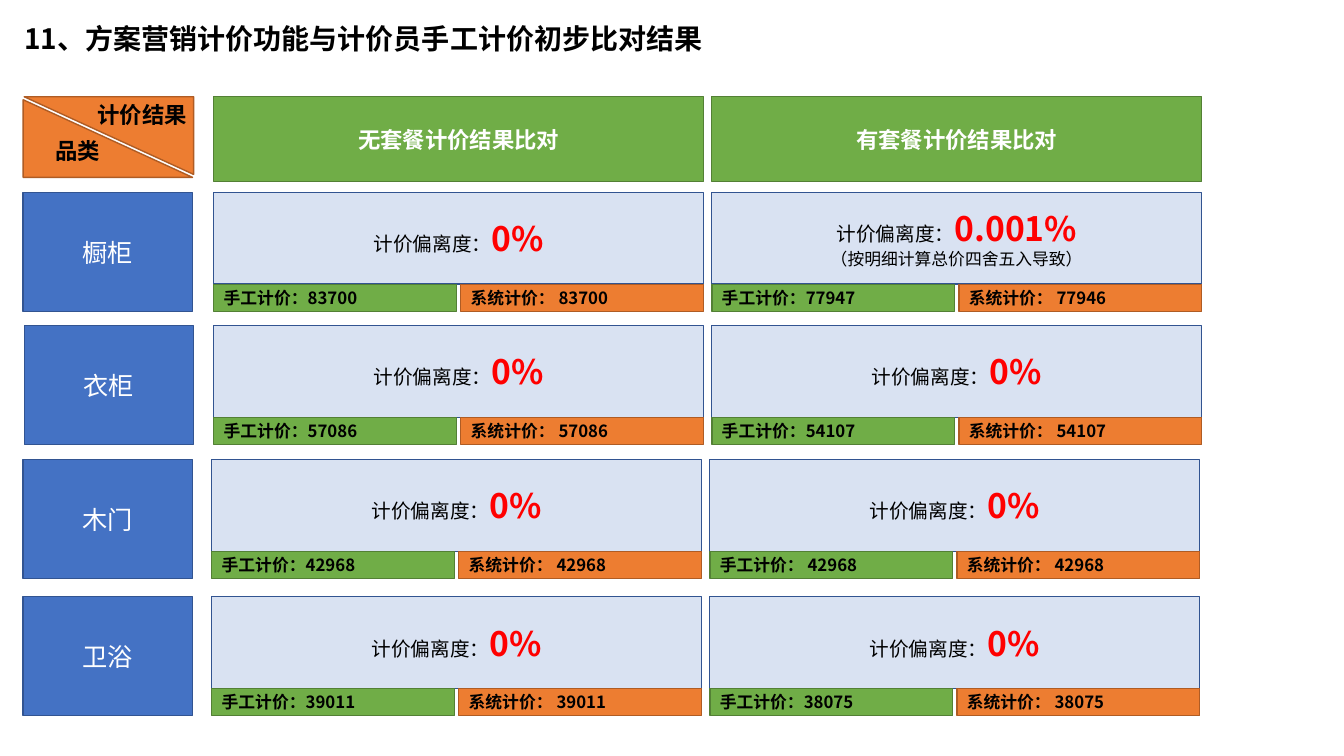
from lxml import etree
from pptx import Presentation
from pptx.dml.color import RGBColor
from pptx.enum.shapes import MSO_SHAPE
from pptx.enum.text import MSO_ANCHOR, MSO_AUTO_SIZE, PP_ALIGN
from pptx.oxml.ns import qn
from pptx.util import Pt

PX = 9144
FONT = "Noto Sans CJK SC"
BLUE, GREEN, ORANGE, PALE = "4472C4", "70AD47", "ED7D31", "B4C7E7"
BORDERS = {BLUE: "325491", GREEN: "538035", ORANGE: "AF5C24", PALE: "325491"}


def add_run(p, text, size, color="000000", bold=False, align=PP_ALIGN.CENTER):
    p.alignment = align
    r = p.add_run()
    r.text = text
    r.font.size = Pt(size)
    r.font.bold = bold
    r.font.name = FONT
    r.font.color.rgb = RGBColor.from_string(color)
    ea = etree.SubElement(r.font._element, qn("a:ea"))
    ea.set("typeface", FONT)


def add_box(shapes, x, y, w, h, fill, kind=MSO_SHAPE.RECTANGLE):
    sp = shapes.add_shape(kind, x * PX, y * PX, w * PX, h * PX)
    sp.shadow.inherit = False
    sp.fill.solid()
    sp.fill.fore_color.rgb = RGBColor.from_string(fill)
    sp.line.color.rgb = RGBColor.from_string(BORDERS[fill])
    sp.line.width = Pt(1)
    sp.text_frame.word_wrap = True
    sp.text_frame.vertical_anchor = MSO_ANCHOR.MIDDLE
    return sp


prs = Presentation()
prs.slide_width = 1333 * PX
prs.slide_height = 750 * PX
s = prs.slides.add_slide(prs.slide_layouts[5])

title = s.shapes.title
title.left, title.top, title.width, title.height = 14 * PX, 16 * PX, 1291 * PX, 44 * PX
tf = title.text_frame
tf.word_wrap = True
tf.auto_size = MSO_AUTO_SIZE.SHAPE_TO_FIT_TEXT
tf.vertical_anchor = MSO_ANCHOR.TOP
add_run(tf.paragraphs[0], "11、方案营销计价功能与计价员手工计价初步比对结果", 20, bold=True,
        align=PP_ALIGN.LEFT)

for x, y, rotation in [(23, 99, 0), (24, 96, 180)]:
    sp = add_box(s.shapes, x, y, 168, 77, ORANGE, MSO_SHAPE.RIGHT_TRIANGLE)
    sp.rotation = rotation

for text, x, y, w, h in [("计价结果", 86, 95, 110, 37), ("品类", 43, 131, 68, 49)]:
    tf = s.shapes.add_textbox(x * PX, y * PX, w * PX, h * PX).text_frame
    tf.word_wrap = False
    tf.auto_size = MSO_AUTO_SIZE.SHAPE_TO_FIT_TEXT
    add_run(tf.paragraphs[0], text, 16, bold=True)

for text, x in [("无套餐计价结果比对", 212), ("有套餐计价结果比对", 706)]:
    sp = add_box(s.shapes, x, 96, 486, 84, GREEN)
    add_run(sp.text_frame.paragraphs[0], text, 16, "FFFFFF", True)

rows = [
    ("橱柜", 23, 191, 212, [("0%", "", "83700", "83700"),
                          ("0.001%", "（按明细计算总价四舍五入导致）", "77947", "77946")]),
    ("衣柜", 24, 323, 212, [("0%", "", "57086", "57086"), ("0%", "", "54107", "54107")]),
    ("木门", 23, 456, 210, [("0%", "", "42968", "42968"), ("0%", "", " 42968", "42968")]),
    ("卫浴", 23, 592, 210, [("0%", "", "39011", "39011"), ("0%", "", "38075", "38075")]),
]
for category, label_x, y, first_x, results in rows:
    sp = add_box(s.shapes, label_x, y, 168, 118, BLUE)
    add_run(sp.text_frame.paragraphs[0], category, 18, "FFFFFF")
    for col, (deviation, note, manual, system) in enumerate(results):
        x = first_x + col * 494
        group = s.shapes.add_group_shape()
        sp = add_box(group.shapes, x, y, 486, 91, PALE)
        color = sp.fill._xPr.find(qn("a:solidFill"))[0]
        etree.SubElement(color, qn("a:alpha")).set("val", "50000")
        tf = sp.text_frame
        add_run(tf.paragraphs[0], "计价偏离度：", 14)
        add_run(tf.paragraphs[0], deviation, 24, "FF0000", True)
        if note:
            add_run(tf.add_paragraph(), note, 12)
        prices = [(0, GREEN, "手工计价：" + manual), (245, ORANGE, "系统计价： " + system)]
        for dx, fill, text in prices:
            sp = add_box(group.shapes, x + dx, y + 91, 241, 27, fill)
            add_run(sp.text_frame.paragraphs[0], text, 12, bold=True, align=PP_ALIGN.LEFT)

prs.save("out.pptx")
